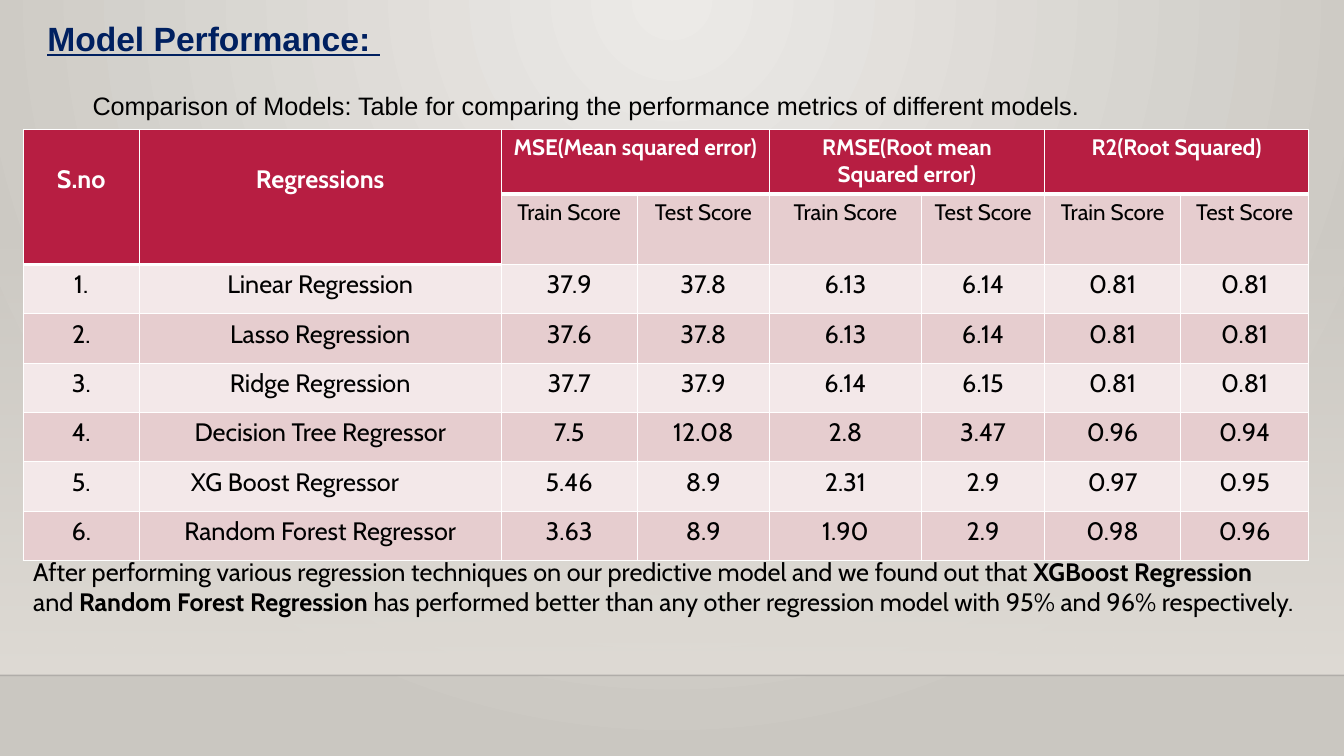
"""Build the model performance slide: heading, comparison table and conclusion."""
from pptx import Presentation
from pptx.dml.color import RGBColor as RGB
from pptx.enum.shapes import MSO_CONNECTOR as CONN, MSO_SHAPE as SHAPE
from pptx.enum.text import PP_ALIGN as ALIGN
from pptx.oxml import parse_xml
from pptx.oxml.ns import nsdecls, qn
from pptx.util import Inches, Pt
from lxml.etree import SubElement

THEME = {
    "glow": "ECEAE7", "edge": "CAC7C1", "floor": "DFDBD5", "rule": "000001",
    "navy": "002060", "black": "000000", "white": "FFFFFF",
    "head": "B71E42", "dark": "E6CDCF", "light": "F3E8E9",
    "title": 24, "body": 18, "label": 16, "sans": "Arial", "face": "Cabin",
}

prs = Presentation()
prs.slide_width, prs.slide_height = Inches(13.33), Inches(7.5)
W, H = prs.slide_width, prs.slide_height
s = prs.slides.add_slide(prs.slide_layouts[6])


def share(left, top, width, height):
    """Turn percentages of the slide into lengths."""
    return [int(v * full / 100) for v, full in zip((left, top, width, height), (W, H, W, H))]


def write(p, text, size, face, color, **style):
    """Add one styled run to a paragraph."""
    r = p.add_run()
    r.text = text
    r.font.color.rgb = RGB.from_string(THEME[color])
    for name, value in {"size": Pt(THEME[size]), "name": THEME[face], **style}.items():
        setattr(r.font, name, value)


fill = s.background.fill
fill.gradient()
for stop, color in zip(fill.gradient_stops, ("glow", "edge")):
    stop.color.rgb = RGB.from_string(THEME[color])
lin = s.background._cSld.find(".//" + qn("a:lin"))
lin.getparent().replace(lin, parse_xml(
    f'<a:path {nsdecls("a")} path="circle">'
    '<a:fillToRect l="43000" t="0" r="43000" b="100000"/></a:path>'))

floor = s.shapes.add_shape(SHAPE.RECTANGLE, *share(0, 29.47, 100, 59.87))
floor.shadow.inherit = False
floor.line.fill.background()
floor.fill.gradient()
floor.fill.gradient_angle = 270
for stop in floor.fill.gradient_stops:
    stop.color.rgb = RGB.from_string(THEME["floor"])
clear = floor._element.spPr.find(".//" + qn("a:srgbClr"))
SubElement(clear, qn("a:alpha"), val="0")

y = int(H * 0.8933)
rule = s.shapes.add_connector(CONN.STRAIGHT, 0, y, W, y)
rule.line.width = Pt(1)
rule.line.color.rgb = RGB.from_string(THEME["rule"])
SubElement(rule._element.spPr.find(".//" + qn("a:srgbClr")), qn("a:alpha"), val="20000")
SubElement(rule._element.spPr, qn("a:effectLst"))

BOLD, PLAIN = {"bold": True}, {}
TEXTS = [
    ((2.78, 1.73, 57.46, 6.67), 1, ("title", "sans", "navy"),
     [("Model Performance: ", {"bold": True, "underline": True})]),
    ((6.15, 9.33, 88.97, 6.67), 1.5, ("body", "sans", "black"),
     [("Comparison of Models: Table for comparing the performance metrics of different models.", PLAIN)]),
    ((1.73, 72.93, 95.27, 9.47), 1, ("body", "face", "black"),
     [("After performing various regression techniques on our predictive model and we found out that ", PLAIN),
      ("XGBoost Regression", BOLD), (" and ", PLAIN), ("Random Forest Regression", BOLD),
      (" has performed better than any other regression model with 95% and 96% respectively.", PLAIN)]),
]
for box, spacing, look, runs in TEXTS:
    tf = s.shapes.add_textbox(*share(*box)).text_frame
    tf.word_wrap = True
    p = tf.paragraphs[0]
    p.line_spacing = spacing
    for text, style in runs:
        write(p, text, *look, **style)

COLS = [1.15, 3.59, 1.35, 1.31, 1.51, 1.22, 1.35, 1.27]
ROWS = [0.64, 0.7] + [0.49] * 6
MODELS = [
    ("Linear Regression", "37.9", "37.8", "6.13", "6.14", "0.81", "0.81"),
    ("Lasso Regression", "37.6", "37.8", "6.13", "6.14", "0.81", "0.81"),
    ("Ridge Regression", "37.7", "37.9", "6.14", "6.15", "0.81", "0.81"),
    ("Decision Tree Regressor", "7.5", "12.08", "2.8", "3.47", "0.96", "0.94"),
    ("XG Boost Regressor", "5.46", "8.9", "2.31", "2.9", "0.97", "0.95"),
    ("Random Forest Regressor", "3.63", "8.9", "1.90", "2.9", "0.98", "0.96"),
]
GRID = [
    ("S.no", "Regressions", "MSE(Mean squared error)", "",
     "RMSE(Root mean Squared error)", "", "R2(Root Squared)", ""),
    ("", "") + ("Train Score", "Test Score") * 3,
] + [(f"{n}.", *model) for n, model in enumerate(MODELS, 1)]

tbl = s.shapes.add_table(len(ROWS), len(COLS), *share(1.73, 17.1, 95.57, 57.2)).table
for col, width in zip(tbl.columns, COLS):
    col.width = Inches(width)
for row, height in zip(tbl.rows, ROWS):
    row.height = Inches(height)
for c in (0, 1):
    tbl.cell(0, c).merge(tbl.cell(1, c))
for c in (2, 4, 6):
    tbl.cell(0, c).merge(tbl.cell(0, c + 1))

for i, values in enumerate(GRID):
    for j, text in enumerate(values):
        cell = tbl.cell(i, j)
        tall = i < 2 and j < 2
        head = i == 0 or tall
        cell.fill.solid()
        cell.fill.fore_color.rgb = RGB.from_string(
            THEME["head" if head else "dark" if i % 2 else "light"])
        thick = {"lnB": head and (i == 1 or not tall), "lnT": i == 1 and not tall or i == 2 and j < 2}
        for k, side in enumerate(("lnL", "lnR", "lnT", "lnB")):
            cell._tc.get_or_add_tcPr().insert(k, parse_xml(
                f'<a:{side} {nsdecls("a")} w="{Pt(3 if thick.get(side) else 1)}"><a:solidFill>'
                f'<a:srgbClr val="{THEME["white"]}"/></a:solidFill></a:{side}>'))
        if text:
            p = cell.text_frame.paragraphs[0]
            p.alignment = ALIGN.CENTER
            write(p, text, "label" if i < 2 and not tall else "body", "face",
                  "white" if head else "black", bold=head)
        if tall:
            cell.margin_top = Inches(0.35)
        if text == "XG Boost Regressor":
            cell.margin_right = Inches(0.6)

prs.save("out.pptx")
